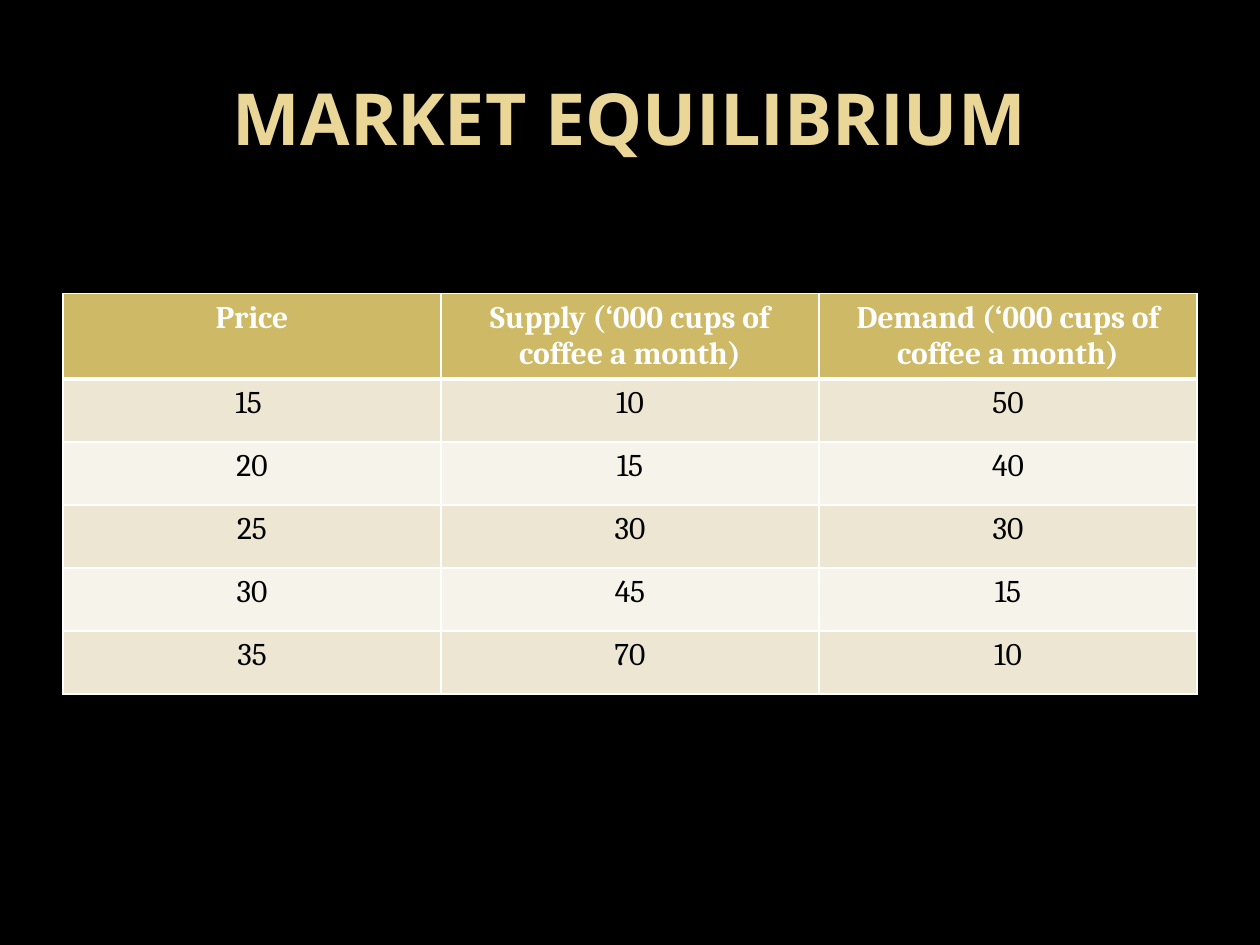
from lxml import etree
from pptx import Presentation
from pptx.dml.color import RGBColor
from pptx.enum import text
from pptx.oxml.ns import qn
from pptx.util import Inches, Pt

# Content
TITLE = "MARKET EQUILIBRIUM"
HEAD = ["Price", "Supply (‘000 cups of coffee a month)",
        "Demand (‘000 cups of coffee a month)"]
ROWS = [
    ("15 ", 10, 50),
    (20, 15, 40),
    (25, 30, 30),
    (30, 45, 15),
    (35, 70, 10),
]
BANDS = ["EDE6D3", "F6F3EA"]


def paint(fill, color):
    fill.solid()
    fill.fore_color.rgb = RGBColor.from_string(color)


def style(frame, font, size, color, bold):
    para = frame.paragraphs[0]
    para.alignment = text.PP_ALIGN.CENTER
    for run in para.runs:
        run.font.name = font
        run.font.size = Pt(size)
        run.font.bold = bold
        paint(run.font.fill, color)


def edge(cell, widths, color="FFFFFF"):
    """Draw the cell borders; they must precede the fill in the XML."""
    props = cell._tc.get_or_add_tcPr()
    for i, (side, width) in enumerate(widths.items()):
        line = etree.Element(qn("a:ln" + side), w=str(Pt(width)))
        fill = etree.SubElement(line, qn("a:solidFill"))
        etree.SubElement(fill, qn("a:srgbClr"), val=color)
        props.insert(i, line)


# Slide
prs = Presentation()
prs.slide_width, prs.slide_height = Inches(10), Inches(7.5)
slide = prs.slides.add_slide(prs.slide_layouts[5])
paint(slide.background.fill, "000000")

# Title
title = slide.shapes.title
title.left, title.top = Inches(0.5), Inches(0.3)
title.width, title.height = Inches(9), Inches(1.25)
title.text_frame.text = TITLE
title.text_frame.vertical_anchor = text.MSO_ANCHOR.MIDDLE
style(title.text_frame, "Open Sans", 41, "EAD696", True)

# Table
data = [HEAD] + ROWS
table = slide.shapes.add_table(
    len(data), len(HEAD), Inches(0.5), Inches(2.33),
    Inches(9), Inches(0.5 * len(data))).table
for r, row in enumerate(data):
    top = r == 0
    for c, value in enumerate(row):
        cell = table.cell(r, c)
        cell.text_frame.text = str(value)
        style(cell.text_frame, "Cambria", 18,
              "FFFFFF" if top else "000000", top)
        paint(cell.fill, "CEB966" if top else BANDS[(r - 1) % 2])
        edge(cell, {"L": 1, "R": 1, "T": 3 if r == 1 else 1,
                    "B": 3 if top else 1})

prs.save("out.pptx")
